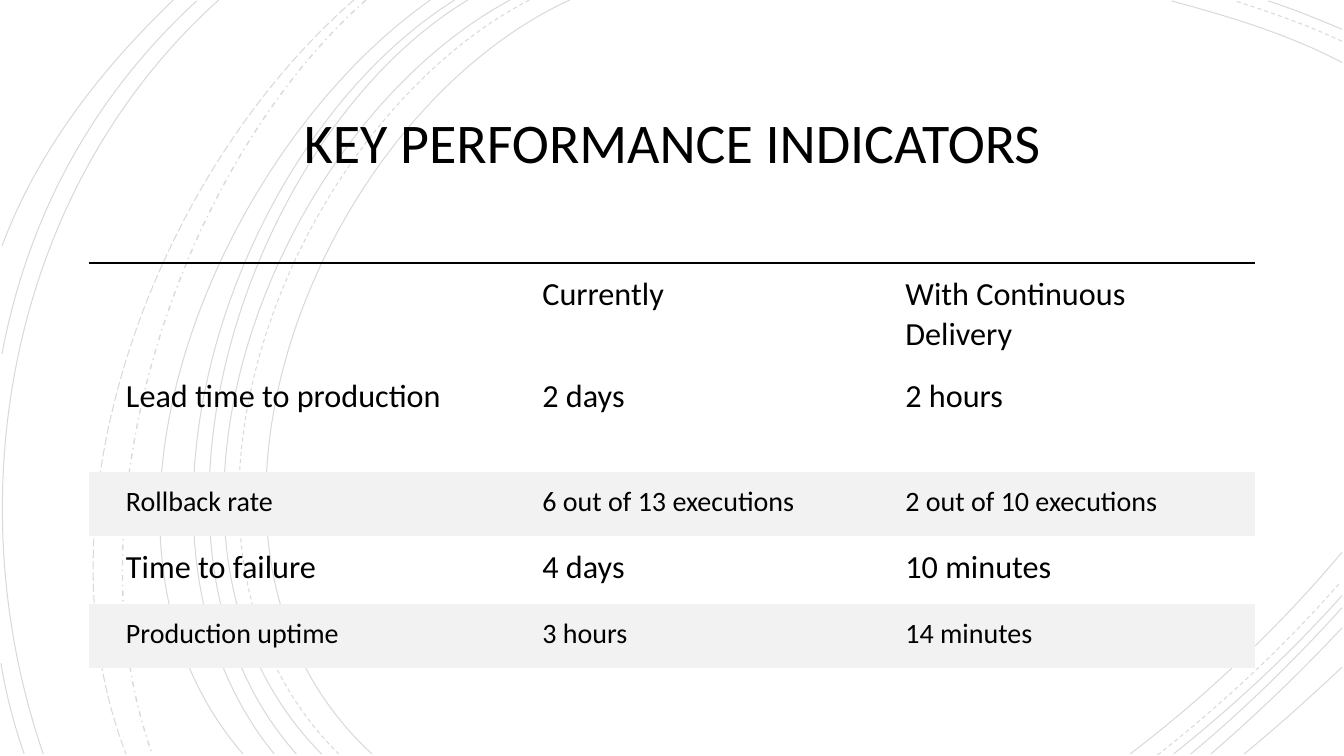
from dataclasses import dataclass
from typing import Optional

import lxml.etree
import pptx
import pptx.dml.color
import pptx.enum.dml
import pptx.enum.text
import pptx.oxml
import pptx.oxml.ns
import pptx.util

Inches = pptx.util.Inches
Pt = pptx.util.Pt
qn = pptx.oxml.ns.qn
Dash = pptx.enum.dml.MSO_LINE

COLORS = {"ink": "000000", "band": "F2F2F2"}
FONT = "Calibri"
NO_STYLE = "{2D5ABB26-0587-4C30-8999-92F81FD0307C}"


@dataclass
class Arc:
    """A cubic curve: start, two control points, end, as x, y pairs in inches."""
    points: tuple[float, ...]
    dash: Optional[Dash] = None
    width: float = 0.75


@dataclass
class Row:
    height: float
    texts: tuple[str, str, str]
    size: int = 23
    banded: bool = False


ARCS = [
    Arc((5.65, 0, 3.15, 1.15, 1.43, 5.4, 3.69, 7.48)),
    Arc((13.31, 0.62, 12.78, 0.34, 12.18, 0.16, 11.62, 0.01)),
    Arc((11.21, 7.48, 11.97, 6.9, 12.69, 6.22, 13.31, 5.48)),
    Arc((5.25, 0, 2.85, 1.25, 1.23, 5.37, 3.36, 7.48), Dash.DASH),
    Arc((13.31, 0.41, 12.97, 0.25, 12.6, 0.12, 12.25, 0.01), Dash.DASH),
    Arc((11.48, 7.49, 12.13, 6.98, 12.75, 6.4, 13.3, 5.77), Dash.DASH),
    Arc((5.06, 0, 2.7, 1.27, 1.1, 5.37, 3.19, 7.48)),
    Arc((13.31, 0.29, 13.07, 0.19, 12.83, 0.09, 12.58, 0.01)),
    Arc((11.64, 7.48, 12.23, 7.01, 12.8, 6.48, 13.31, 5.91)),
    Arc((4.64, 0, 2.44, 1.33, 1.1, 5.41, 2.94, 7.48)),
    Arc((11.81, 7.48, 12.34, 7.04, 12.84, 6.55, 13.31, 6.03)),
    Arc((4.51, 0, 2.31, 1.38, 0.97, 5.33, 2.72, 7.48)),
    Arc((12.01, 7.48, 12.46, 7.09, 12.9, 6.67, 13.31, 6.23)),
    Arc((4.27, 0, 2.17, 1.47, 0.53, 5.29, 2.41, 7.48)),
    Arc((12.34, 7.48, 12.67, 7.21, 12.99, 6.92, 13.31, 6.62)),
    Arc((3.63, 0, 1.76, 1.66, 0.65, 5.09, 1.51, 7.48), Dash.DASH_DOT, 1),
    Arc((3.51, 0, 1.57, 1.69, 0.29, 4.99, 1.25, 7.48), Dash.LONG_DASH),
    Arc((2.17, 0, 0.11, 1.85, -0.46, 4.9, 0.43, 7.48)),
    Arc((1.95, 0.01, 0.92, 0.96, 0.28, 2.14, 0.02, 3.51)),
    Arc((0.01, 6.58, 0.06, 6.89, 0.14, 7.19, 0.24, 7.48)),
    Arc((1.72, 0, 1, 0.69, 0.37, 1.5, 0.02, 2.44)),
]

COLUMNS = (4.13, 3.6, 3.84)
ROWS = [
    Row(0.68, ("", "Currently", "With Continuous Delivery")),
    Row(1.07, ("Lead time to production", "2 days", "2 hours")),
    Row(0.63, ("Rollback rate", "6 out of 13 executions", "2 out of 10 executions"), 20, True),
    Row(0.68, ("Time to failure", "4 days", "10 minutes")),
    Row(0.63, ("Production uptime", "3 hours", "14 minutes"), 20, True),
]


def rgb(name: str) -> pptx.dml.color.RGBColor:
    return pptx.dml.color.RGBColor.from_string(COLORS[name])


def format_runs(p, size: float) -> None:
    for r in p.runs:
        r.font.name = FONT
        r.font.size = Pt(size)
        r.font.color.rgb = rgb("ink")


def add_arc(shapes, arc: Arc) -> None:
    xy = [Inches(v) for v in arc.points]
    start, *rest = zip(xy[::2], xy[1::2])
    builder = shapes.build_freeform(*start)
    builder.add_line_segments(rest, close=False)
    s = builder.convert_to_shape()
    s.shadow.inherit = False
    s.fill.background()
    s.line.color.rgb = rgb("ink")
    s.line.width = Pt(arc.width)
    s.line.dash_style = arc.dash

    # Turn the three straight segments into one Bézier curve
    outline = next(s._element.iter(qn("a:path")))
    segments = outline.findall(qn("a:lnTo"))
    curve = lxml.etree.SubElement(outline, qn("a:cubicBezTo"))
    for segment in segments:
        curve.append(segment[0])
        outline.remove(segment)

    # Faint line
    color = next(s.line._ln.iter(qn("a:srgbClr")))
    lxml.etree.SubElement(color, qn("a:alpha")).set("val", "15000")


def add_title(shapes, text: str) -> None:
    s = shapes.add_textbox(Inches(1.92), Inches(0.87), Inches(9.49), Inches(1.15))
    tf = s.text_frame
    tf.word_wrap = True
    tf.vertical_anchor = pptx.enum.text.MSO_ANCHOR.MIDDLE
    tf.text = text
    p = tf.paragraphs[0]
    p.alignment = pptx.enum.text.PP_ALIGN.CENTER
    p.line_spacing = 0.9
    format_runs(p, 40)


def add_top_border(cell, width: float) -> None:
    border = pptx.oxml.parse_xml(
        f'<a:lnT {pptx.oxml.ns.nsdecls("a")} w="{Pt(width)}"><a:solidFill>'
        f'<a:srgbClr val="{COLORS["ink"]}"/></a:solidFill></a:lnT>')
    cell._tc.get_or_add_tcPr().insert(0, border)


def fill_cell(cell, text: str, row: Row) -> None:
    cell.margin_left = cell.margin_right = Inches(0.37)
    cell.margin_top = cell.margin_bottom = Inches(0.12)
    if row.banded:
        cell.fill.solid()
        cell.fill.fore_color.rgb = rgb("band")
    else:
        cell.fill.background()
    cell.text_frame.text = text
    format_runs(cell.text_frame.paragraphs[0], row.size)


def add_indicators(shapes, rows: list[Row]) -> None:
    table = shapes.add_table(len(rows), len(COLUMNS), Inches(0.88), Inches(2.61),
                             Inches(sum(COLUMNS)), Inches(4.01)).table
    table.first_row = table.horz_banding = False
    next(table._tbl.iter(qn("a:tableStyleId"))).text = NO_STYLE
    for column, width in zip(table.columns, COLUMNS):
        column.width = Inches(width)
    for line, row in zip(table.rows, rows):
        line.height = Inches(row.height)
        for cell, text in zip(line.cells, row.texts):
            fill_cell(cell, text, row)
    for cell in table.rows[0].cells:
        add_top_border(cell, 2.25)


def main() -> None:
    prs = pptx.Presentation()
    prs.slide_width, prs.slide_height = Inches(13.33), Inches(7.5)
    slide = prs.slides.add_slide(prs.slide_layouts[6])

    # Background curves
    curves = slide.shapes.add_group_shape()
    for arc in ARCS:
        add_arc(curves.shapes, arc)

    # Title and table
    add_title(slide.shapes, "KEY PERFORMANCE INDICATORS")
    add_indicators(slide.shapes, ROWS)

    prs.save("out.pptx")


if __name__ == "__main__":
    main()
